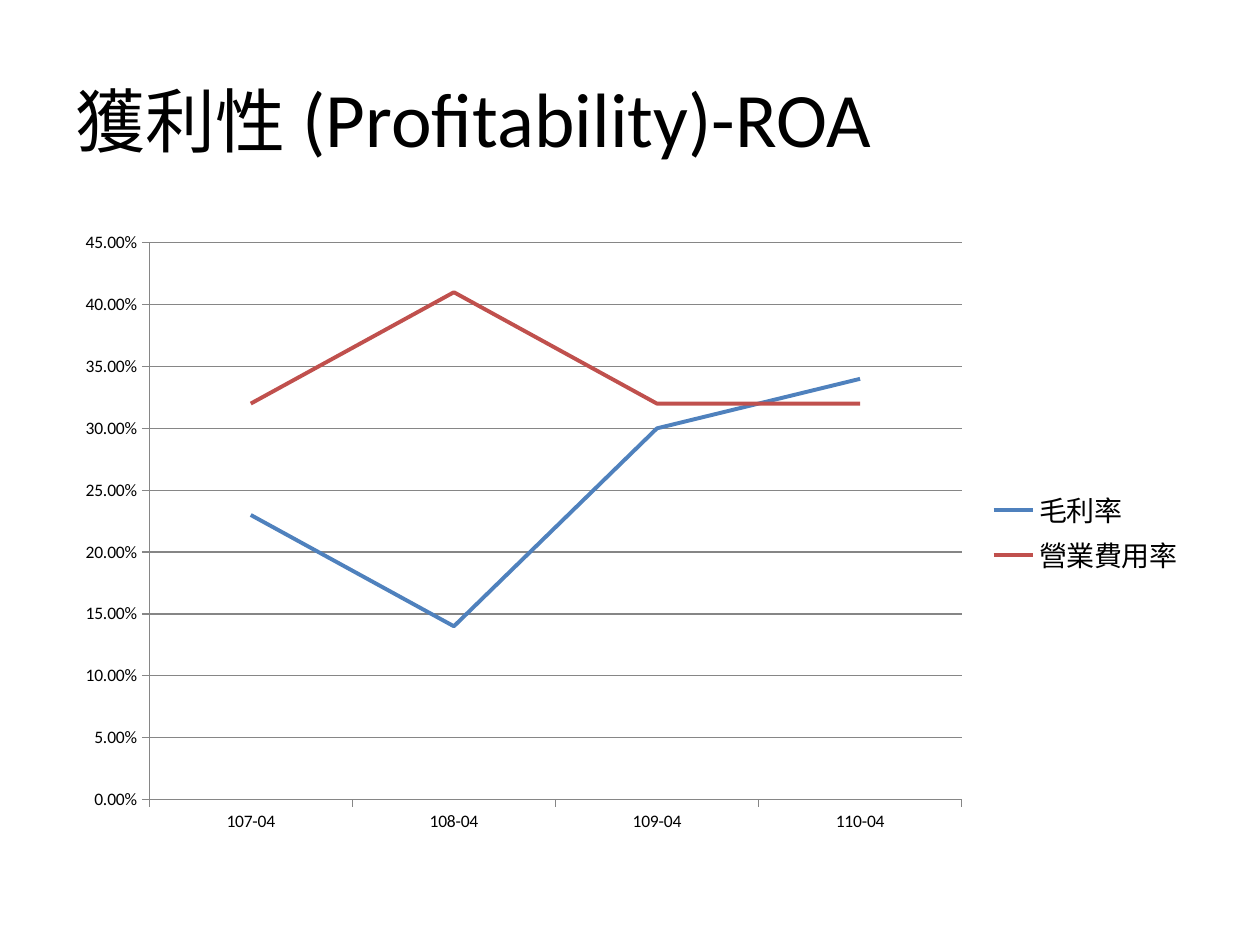
from pptx import Presentation
from pptx.chart.data import CategoryChartData as Data
from pptx.dml.color import RGBColor as Rgb
from pptx.enum.chart import XL_CHART_TYPE as Kind, XL_LEGEND_POSITION as Side
from pptx.enum.chart import XL_MARKER_STYLE as Mark, XL_TICK_MARK as Tick
from pptx.enum.text import MSO_ANCHOR as Anchor, PP_ALIGN as Align
from pptx.util import Inches, Pt

FONT = "Calibri"
HUES = {"text": "000000", "grid": "868686", "blue": "4F81BD", "red": "C0504D"}
TITLE = [("獲利性", 40), (" (Profitability)-ROA", 44)]
TERMS = ["107-04", "108-04", "109-04", "110-04"]
RATES = [
    ("毛利率", "blue", [0.23, 0.14, 0.3, 0.34]),
    ("營業費用率", "red", [0.32, 0.41, 0.32, 0.32]),
]


def style(font, size, hue="text"):
    font.name = FONT
    font.size = Pt(size)
    font.bold = False
    font.color.rgb = Rgb.from_string(HUES[hue])


def write(para, text, **form):
    run = para.add_run()
    run.text = text
    style(run.font, **form)


def stroke(line, hue, width):
    line.color.rgb = Rgb.from_string(HUES[hue])
    line.width = Pt(width)


def add_title(slide):
    title = slide.shapes.title
    title.left, title.top, title.width, title.height = map(Inches, (0.5, 0.3, 9, 1.25))
    frame = title.text_frame
    frame.vertical_anchor = Anchor.MIDDLE
    para = frame.paragraphs[0]
    para.alignment = Align.LEFT
    for text, size in TITLE:
        write(para, text, size=size)


def add_rates(slide):
    data = Data(number_format="0.00%")
    data.categories = TERMS
    for name, _, vals in RATES:
        data.add_series(name, vals)
    place = map(Inches, (0.5, 1.75, 9, 4.95))
    chart = slide.shapes.add_chart(Kind.LINE, *place, data).chart
    chart.has_title = False
    style(chart.font, 10)
    chart.has_legend = True
    chart.legend.position = Side.RIGHT
    chart.legend.include_in_layout = False
    style(chart.legend.font, 16)

    for axis in (chart.category_axis, chart.value_axis):
        axis.major_tick_mark = Tick.OUTSIDE
        axis.minor_tick_mark = Tick.NONE
        stroke(axis.format.line, "grid", 0.75)
    axis = chart.value_axis
    axis.minimum_scale, axis.maximum_scale, axis.major_unit = 0, 0.45, 0.05
    axis.has_major_gridlines = True
    stroke(axis.major_gridlines.format.line, "grid", 0.75)
    axis.tick_labels.number_format = "0.00%"
    axis.tick_labels.number_format_is_linked = False

    plot = chart.plots[0]
    plot.vary_by_categories = False
    for series, (_, hue, _) in zip(plot.series, RATES):
        series.smooth = False
        series.marker.style = Mark.NONE
        stroke(series.format.line, hue, 2.25)


def main():
    deck = Presentation()
    deck.slide_width, deck.slide_height = Inches(10), Inches(7.5)
    slide = deck.slides.add_slide(deck.slide_layouts[5])
    add_title(slide)
    add_rates(slide)
    deck.save("out.pptx")


if __name__ == "__main__":
    main()
